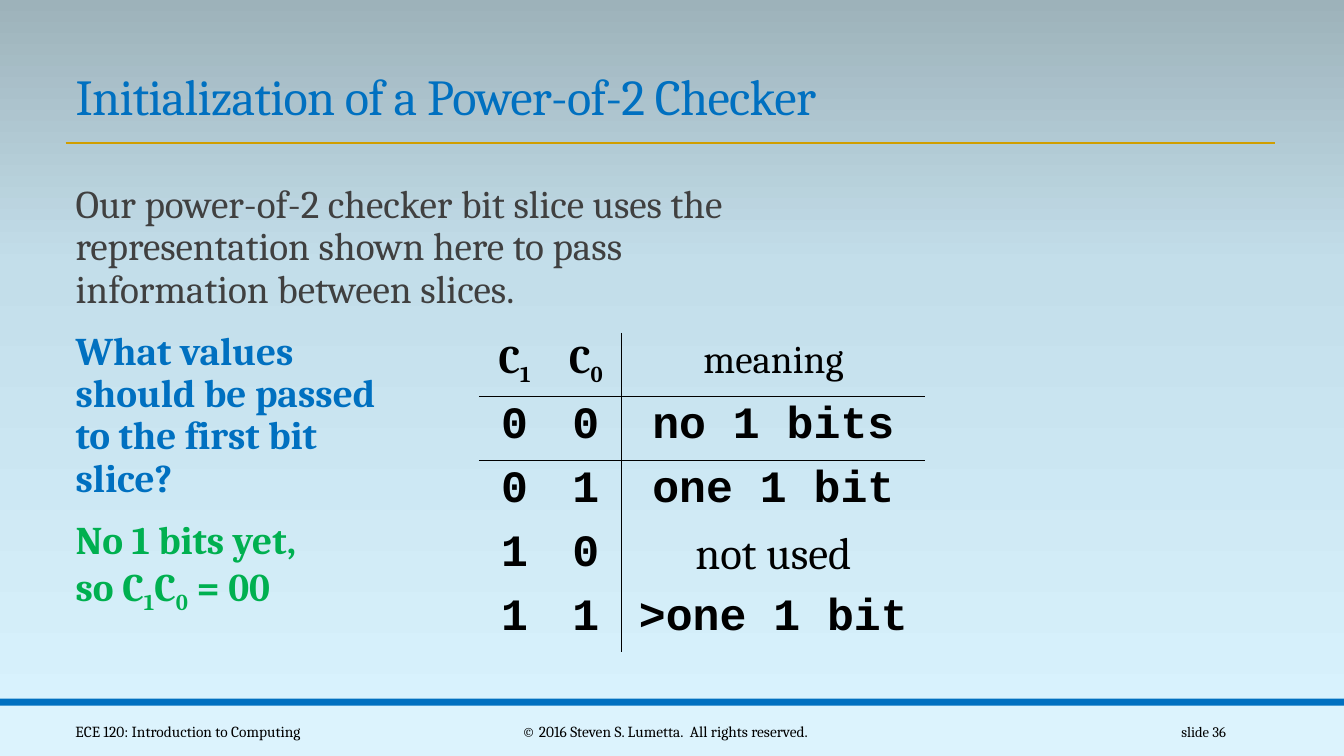
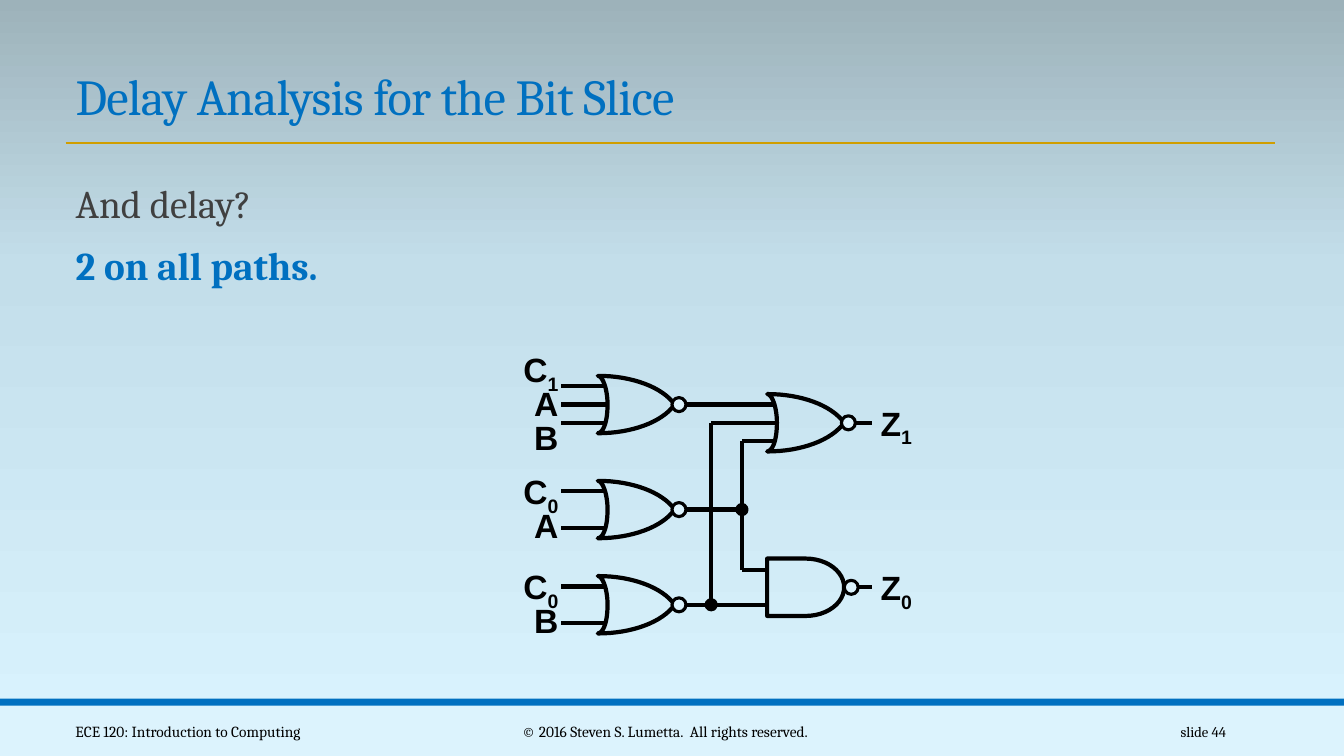
from itertools import pairwise

from lxml.etree import SubElement
from pptx import Presentation
from pptx.dml.color import RGBColor
from pptx.enum.shapes import MSO_CONNECTOR, MSO_SHAPE
from pptx.enum.text import MSO_ANCHOR, MSO_AUTO_SIZE, PP_ALIGN
from pptx.oxml import parse_xml
from pptx.oxml.ns import nsdecls, qn
from pptx.shapes.shapetree import SlideShapes
from pptx.util import Pt

BLACK = RGBColor(0x00, 0x00, 0x00)
GRAY = RGBColor(0x40, 0x40, 0x40)
BLUE = RGBColor(0x00, 0x70, 0xC0)
GREEN = RGBColor(0x00, 0xB0, 0x50)
GOLD = RGBColor(0xD0, 0x9E, 0x00)
PALE = RGBColor(0xDC, 0xF3, 0xFD)
BACKGROUND = (
    (0, RGBColor(0xDA, 0xF4, 0xFF)),
    (0.65, RGBColor(0xC3, 0xDE, 0xEA)),
    (1, RGBColor(0x9D, 0xB2, 0xBA)),
)
SERIF, SANS, MONO = "Cambria", "Arial", "Courier New"
NO_TABLE_STYLE = "{2D5ABB26-0587-4C30-8999-92F81FD0307C}"

WIDTH, HEIGHT = 960, 540
TITLE_BOX = (46.8, 42.5, 864.7, 51)
BODY_BOX = (46.8, 128.2, 613.4, 334)

# Circuit geometry
GATE_W, GATE_HALF = 55, 20.5
INPUT_SPREAD, LABEL_PITCH = 26, 24
BUBBLE, DOT = 10, 7.2
FIRST_X, SECOND_X = 427, 548
INPUT_X, OUTPUT_X = 401, 623


def pts(*values):
    return [Pt(v) for v in values]


def add_runs(p, parts, size, color, font=SERIF, bold=False):
    """Add runs from parts, which alternate between plain text and subscript."""
    for i, part in enumerate(parts):
        for j, line in enumerate(part.split("\n")):
            if j:
                p.add_line_break()
            r = p.add_run()
            r.text = line
            r.font.name, r.font.size, r.font.bold = font, Pt(size), bold
            r.font.color.rgb = color
            if i % 2:
                r.font._element.set("baseline", "-25000")


def add_text(shapes, box, parts, size, font=SERIF, bold=False,
             align=PP_ALIGN.LEFT, anchor=MSO_ANCHOR.TOP):
    tf = shapes.add_textbox(*pts(*box)).text_frame
    tf.word_wrap = True
    tf.vertical_anchor = anchor
    p = tf.paragraphs[0]
    p.alignment = align
    add_runs(p, parts, size, BLACK, font, bold)


def add_line(shapes, start, end, color=BLACK, width=3):
    line = shapes.add_connector(MSO_CONNECTOR.STRAIGHT, *pts(*start, *end))
    line.line.color.rgb = color
    line.line.width = Pt(width)
    SubElement(line.element.spPr, qn("a:effectLst"))


def style_shape(sp, fill=None, line=None, width=3):
    sp.shadow.inherit = False
    if fill is None:
        sp.fill.background()
    else:
        sp.fill.solid()
        sp.fill.fore_color.rgb = fill
    if line is None:
        sp.line.fill.background()
    else:
        sp.line.color.rgb = line
        sp.line.width = Pt(width)


def add_shape(shapes, kind, box, **style):
    style_shape(shapes.add_shape(kind, *pts(*box)), **style)


def add_footer(shapes, left, width, text, align, size=11):
    add_text(shapes, (left, 508.3, width, 28.8), [text], size,
             align=align, anchor=MSO_ANCHOR.MIDDLE)


def design_layout(layout):
    """Give the layout the background, bands, rule, footer and placeholder places."""
    fill = layout.background.fill
    fill.gradient()
    fill.gradient_angle = 90
    stop_list = layout.element.find(".//" + qn("a:gsLst"))
    SubElement(SubElement(stop_list, qn("a:gs"), pos="0"),
               qn("a:srgbClr"), val="FFFFFF")
    for stop, (position, color) in zip(fill.gradient_stops, BACKGROUND):
        stop.position = position
        stop.color.rgb = color

    for ph, box in zip(layout.placeholders, (TITLE_BOX, BODY_BOX)):
        ph.left, ph.top, ph.width, ph.height = pts(*box)

    shapes = SlideShapes(layout.shapes.element, layout)
    add_shape(shapes, MSO_SHAPE.RECTANGLE, (0, 504, WIDTH, 36), fill=PALE)
    add_shape(shapes, MSO_SHAPE.RECTANGLE, (0, 499, WIDTH, 5), fill=BLUE)
    add_line(shapes, (46.8, 102.2), (910.8, 102.2), GOLD, 2)
    add_footer(shapes, 46.8, 234, "ECE 120: Introduction to Computing", PP_ALIGN.LEFT)
    add_footer(shapes, 290.2, 370,
               "© 2016 Steven S. Lumetta.  All rights reserved.", PP_ALIGN.CENTER)


def add_slide(prs, layout, number, title, paragraphs):
    """Add a slide; paragraphs holds (parts, color, bold) for the body."""
    s = prs.slides.add_slide(layout)
    tf = s.shapes.title.text_frame
    tf.auto_size = MSO_AUTO_SIZE.NONE
    tf.vertical_anchor = MSO_ANCHOR.BOTTOM
    p = tf.paragraphs[0]
    p.alignment = PP_ALIGN.LEFT
    p.line_spacing = 0.85
    add_runs(p, [title], 36, BLUE)
    p.runs[0].font._element.set("spc", "-50")

    tf = s.placeholders[1].text_frame
    tf.auto_size = MSO_AUTO_SIZE.NONE
    tf.margin_left = tf.margin_right = 0
    for i, (parts, color, bold) in enumerate(paragraphs):
        p = tf.add_paragraph() if i else tf.paragraphs[0]
        p.line_spacing = 0.9
        p.space_before, p.space_after = Pt(12), Pt(2)
        pPr = p._p.get_or_add_pPr()
        pPr.set("marL", str(Pt(7.2)))
        pPr.set("indent", "0")
        SubElement(pPr, qn("a:buNone"))
        add_runs(p, parts, 28, color, bold=bold)

    add_footer(s.shapes, 779.8, 103, f"slide {number}", PP_ALIGN.RIGHT, 10.5)
    return s


def add_border(cell, side):
    cell._tc.get_or_add_tcPr().insert(0, parse_xml(
        f'<a:ln{side} {nsdecls("a")} w="{Pt(1)}"><a:solidFill>'
        f'<a:srgbClr val="{BLACK}"/></a:solidFill></a:ln{side}>'))


def add_meaning_table(s):
    head = dict(size=28, bold=True)
    code = dict(size=32, font=MONO, bold=True)
    rows = [[(["C", "1"], head), (["C", "0"], head), (["meaning"], dict(size=28))]]
    for bits, meaning, style in (
        ("00", "no 1 bits", code),
        ("01", "one 1 bit", code),
        ("10", "not used", dict(size=32)),
        ("11", ">one 1 bit", code),
    ):
        rows.append([([bit], code) for bit in bits] + [([meaning], style)])

    frame = s.shapes.add_table(len(rows), 3, *pts(342, 237.7, 319, 216.5))
    frame.element.find(".//" + qn("a:tableStyleId")).text = NO_TABLE_STYLE
    table = frame.table
    table.first_row = table.horz_banding = False
    for column, width in zip(table.columns, (51, 51, 217)):
        column.width = Pt(width)
    for i, row in enumerate(rows):
        table.rows[i].height = Pt(43.5 if i else 42.5)
        for j, (parts, style) in enumerate(row):
            cell = table.cell(i, j)
            cell.fill.background()
            p = cell.text_frame.paragraphs[0]
            p.alignment = PP_ALIGN.CENTER
            add_runs(p, parts, color=BLACK, **style)
            # Inserted last to first, to end in the order L, R, T, B
            for side, drawn in (("B", i == 0), ("T", i == 1),
                                ("R", j == 1), ("L", j == 2)):
                if drawn:
                    add_border(cell, side)


def bezier(p0, p1, p2, p3, steps=16):
    """Points along a cubic curve, without its start."""
    for k in range(1, steps + 1):
        t = k / steps
        u = 1 - t
        yield tuple(u**3 * a + 3 * u * u * t * b + 3 * u * t * t * c + t**3 * d
                    for a, b, c, d in zip(p0, p1, p2, p3))


def add_bubble(shapes, x, y):
    add_shape(shapes, MSO_SHAPE.OVAL, (x, y - BUBBLE / 2, BUBBLE, BUBBLE),
              fill=PALE, line=BLACK, width=2.25)


def add_nor(shapes, x, y):
    h = GATE_HALF
    curves = (
        ((0, -h), (24.5, -h), (46, -12.5), (GATE_W, 0)),
        ((GATE_W, 0), (46, 12.5), (24.5, h), (0, h)),
        ((0, h), (4.5, 20), (7, 11), (7, 0)),
        ((7, 0), (7, -11), (3.5, -h), (0, -h)),
    )
    outline = [Pt(x), Pt(y - h)]
    builder = shapes.build_freeform(*outline)
    builder.add_line_segments(
        [pts(x + dx, y + dy) for curve in curves for dx, dy in bezier(*curve)])
    style_shape(builder.convert_to_shape(), line=BLACK)
    add_bubble(shapes, x + 53, y)


def add_nand(shapes, x, y):
    add_shape(shapes, MSO_SHAPE.FLOWCHART_DELAY,
              (x, y - GATE_HALF, GATE_W, 2 * GATE_HALF), line=BLACK)
    add_bubble(shapes, x + GATE_W, y)


def add_inputs(shapes, y, labels):
    """Draw the labelled input wires of a first-level gate centred on y."""
    last = len(labels) - 1
    for i, parts in enumerate(labels):
        place = i - last / 2
        wire_y = y + place * INPUT_SPREAD / last
        add_line(shapes, (INPUT_X, wire_y), (433 if place == 0 else 432, wire_y))
        add_text(shapes, (356, y - 19 + place * LABEL_PITCH, 50, 36), parts, 24,
                 SANS, True, PP_ALIGN.RIGHT)


def add_circuit(s):
    shapes = s.shapes.add_group_shape().shapes
    top, middle, bottom = 289, 364, 432
    z1, z0 = 302, 419.5
    left_bus, right_bus = 508, 530
    out = FIRST_X + 53 + BUBBLE
    nand_in = z0 - INPUT_SPREAD / 2 + 0.5

    for wire in (
        [(out, top), (553, top)],
        [(out, middle), (right_bus, middle)],
        [(out, bottom), (SECOND_X, bottom)],
        [(left_bus, bottom), (left_bus, z1), (554, z1)],
        [(553, z1 + 13), (right_bus, z1 + 13),
         (right_bus, nand_in), (SECOND_X, nand_in)],
    ):
        for start, end in pairwise(wire):
            add_line(shapes, start, end)
    for x, y in ((right_bus, middle), (left_bus, bottom)):
        add_shape(shapes, MSO_SHAPE.OVAL, (x - DOT / 2, y - DOT / 2, DOT, DOT),
                  fill=BLACK, line=BLACK, width=2.25)

    for y, labels in (
        (top, (["C", "1"], ["A"], ["B"])),
        (middle, (["C", "0"], ["A"])),
        (bottom, (["C", "0"], ["B"])),
    ):
        add_inputs(shapes, y, labels)
        add_nor(shapes, FIRST_X, y)
    for add_gate, y, digit in ((add_nor, z1, "1"), (add_nand, z0, "0")):
        add_line(shapes, (SECOND_X + 63, y), (OUTPUT_X, y))
        add_gate(shapes, SECOND_X, y)
        add_text(shapes, (622, y - 18, 50, 36), ["Z", digit], 24, SANS, True)


def main():
    prs = Presentation()
    prs.slide_width, prs.slide_height = pts(WIDTH, HEIGHT)
    layout = prs.slide_layouts[1]
    design_layout(layout)

    s = add_slide(prs, layout, 36, "Initialization of a Power-of-2 Checker", [
        (["Our power-of-2 checker bit slice uses the representation shown here "
          "to pass\ninformation between slices."], GRAY, False),
        (["What values\nshould be passed\nto the first bit\nslice?"], BLUE, True),
        (["No 1 bits yet,\nso C", "1", "C", "0", " = 00"], GREEN, True),
    ])
    add_meaning_table(s)

    s = add_slide(prs, layout, 44, "Delay Analysis for the Bit Slice", [
        (["And delay?"], GRAY, False),
        (["2 on all paths."], BLUE, True),
    ])
    add_circuit(s)
    prs.save("out.pptx")


if __name__ == "__main__":
    main()
